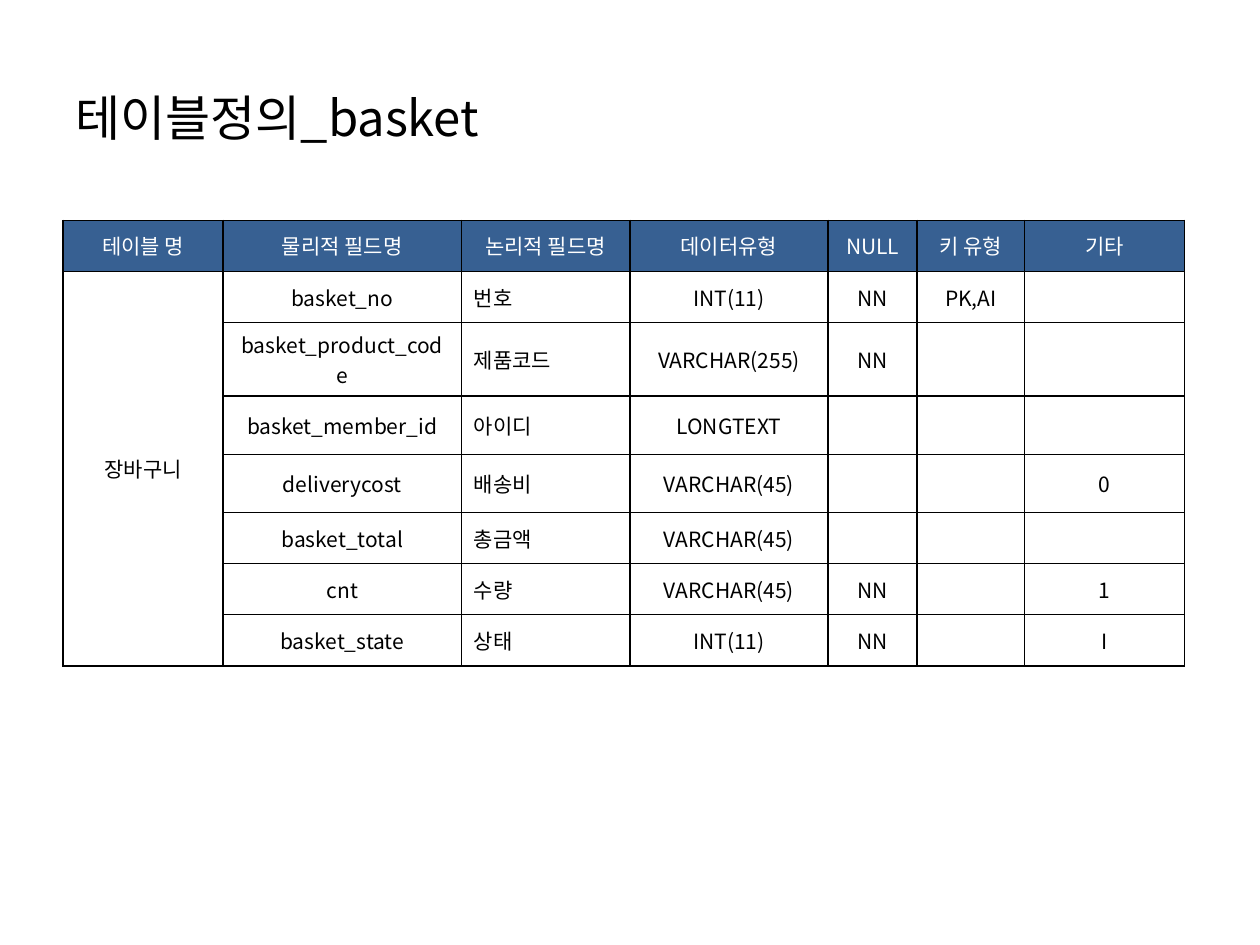
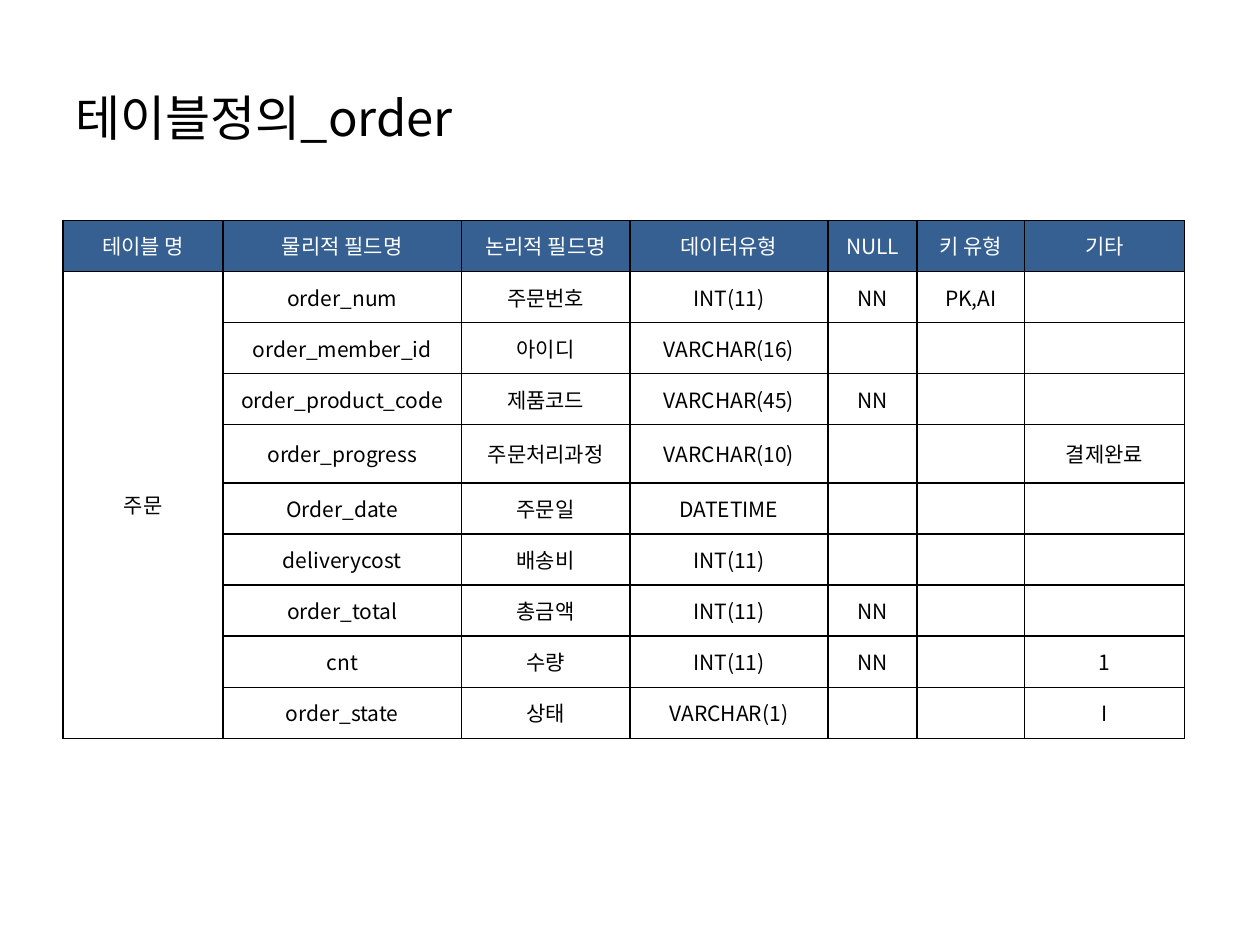
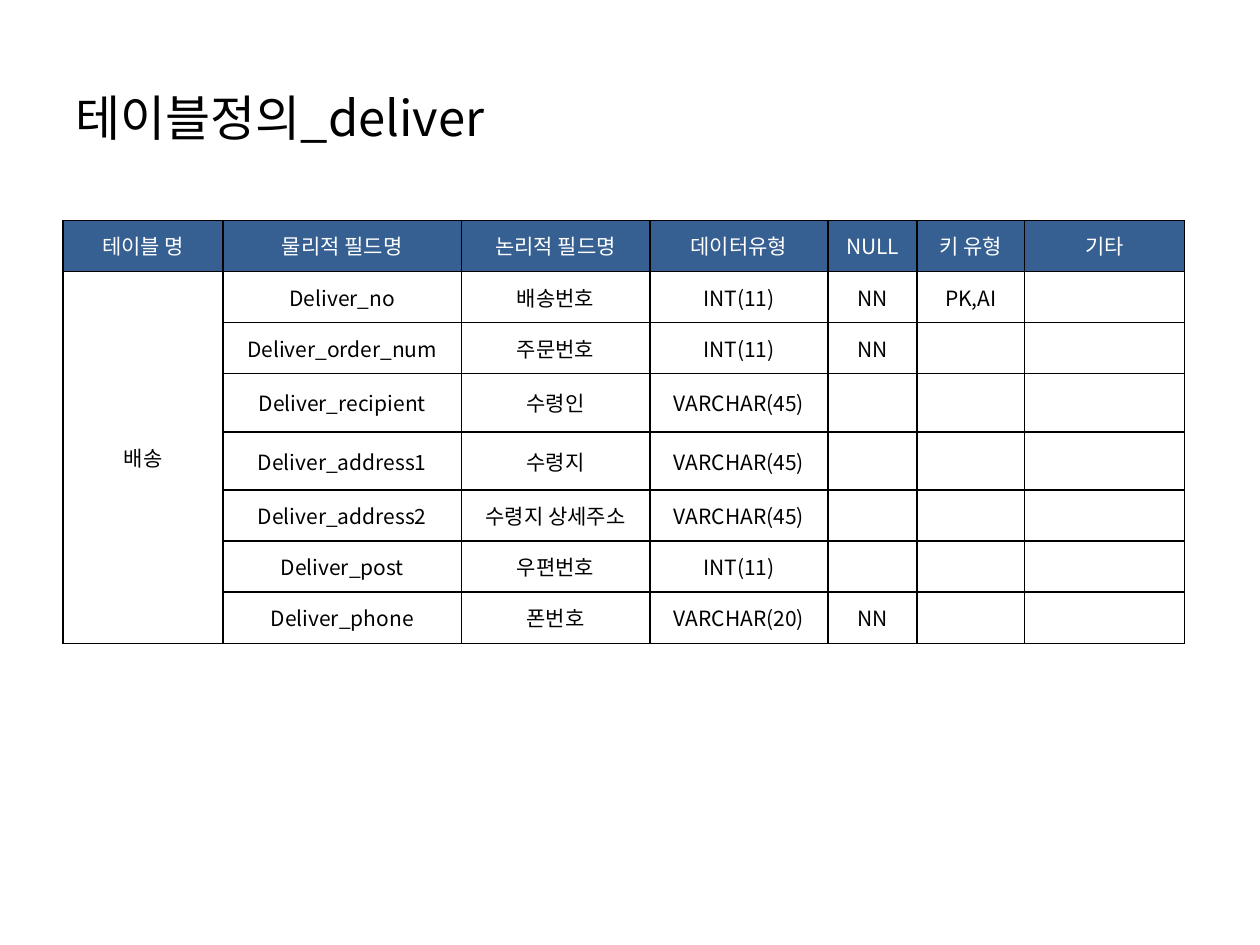
"""Build three slides that define the basket, order and deliver tables."""
from lxml import etree
from pptx import Presentation
from pptx.dml.color import RGBColor
from pptx.enum.text import MSO_ANCHOR, PP_ALIGN
from pptx.oxml.ns import qn
from pptx.util import Cm, Pt

LEFT, CENTER = PP_ALIGN.LEFT, PP_ALIGN.CENTER
MIDDLE = MSO_ANCHOR.MIDDLE

FONT = "Noto Sans CJK KR"
BLACK, WHITE, BLUE = "000000", "FFFFFF", "376092"
TITLE_FMT = {"size": Pt(28), "name": FONT, "color": BLACK}
HEAD_FMT = {"size": Pt(12), "name": FONT, "color": WHITE}
BODY_FMT = {**HEAD_FMT, "color": BLACK}
EMPTY_SIZE, TALL_EMPTY_SIZE = 12, 18

TITLE_BOX = {"left": Cm(1.27), "top": Cm(0.76), "width": Cm(22.86), "height": Cm(3.18)}
TABLE_LEFT, TABLE_TOP, ROW_HEIGHT = 1.27, 4.44, 1.03
COLS = [3.23, 4.8, 3.4, 3.99, 1.8, 2.16, 3.23]
DELIVER_COLS = [3.23, 4.8, 3.8, 3.59, 1.8, 2.16, 3.23]
HEADERS = ["테이블 명", "물리적 필드명", "논리적 필드명", "데이터유형", "NULL", "키 유형", "기타"]
LOGICAL_COL = 2

TABLES = [
    {
        "title": "테이블정의_basket", "name": "장바구니", "cols": COLS,
        "logical_align": LEFT, "tall_rows": (3, 4),
        "fields": [
            ("basket_no", "번호", "INT(11)", "NN", "PK,AI", ""),
            ("basket_product_code", "제품코드", "VARCHAR(255)", "NN", "", ""),
            ("basket_member_id", "아이디", "LONGTEXT", "", "", ""),
            ("deliverycost", "배송비", "VARCHAR(45)", "", "", "0"),
            ("basket_total", "총금액", "VARCHAR(45)", "", "", ""),
            ("cnt", "수량", "VARCHAR(45)", "NN", "", "1"),
            ("basket_state", "상태", "INT(11)", "NN", "", "I"),
        ],
    },
    {
        "title": "테이블정의_order", "name": "주문", "cols": COLS,
        "logical_align": CENTER, "tall_rows": (4,),
        "fields": [
            ("order_num", "주문번호", "INT(11)", "NN", "PK,AI", ""),
            ("order_member_id", "아이디", "VARCHAR(16)", "", "", ""),
            ("order_product_code", "제품코드", "VARCHAR(45)", "NN", "", ""),
            ("order_progress", "주문처리과정", "VARCHAR(10)", "", "", "결제완료"),
            ("Order_date", "주문일", "DATETIME", "", "", ""),
            ("deliverycost", "배송비", "INT(11)", "", "", ""),
            ("order_total", "총금액", "INT(11)", "NN", "", ""),
            ("cnt", "수량", "INT(11)", "NN", "", "1"),
            ("order_state", "상태", "VARCHAR(1)", "", "", "I"),
        ],
    },
    {
        "title": "테이블정의_deliver", "name": "배송", "cols": DELIVER_COLS,
        "logical_align": CENTER, "tall_rows": (3, 4),
        "fields": [
            ("Deliver_no", "배송번호", "INT(11)", "NN", "PK,AI", ""),
            ("Deliver_order_num", "주문번호", "INT(11)", "NN", "", ""),
            ("Deliver_recipient", "수령인", "VARCHAR(45)", "", "", ""),
            ("Deliver_address1", "수령지", "VARCHAR(45)", "", "", ""),
            ("Deliver_address2", "수령지 상세주소", "VARCHAR(45)", "", "", ""),
            ("Deliver_post", "우편번호", "INT(11)", "", "", ""),
            ("Deliver_phone", "폰번호", "VARCHAR(20)", "NN", "", ""),
        ],
    },
]


def rgb(value):
    """Return the colour of a hex string."""
    return RGBColor.from_string(value)


def add_run(p, text, fmt):
    """Add a formatted run to a paragraph."""
    r = p.add_run()
    r.text = text
    for key, value in fmt.items():
        if key == "color":
            r.font.color.rgb = rgb(value)
        else:
            setattr(r.font, key, value)
    etree.SubElement(r._r.get_or_add_rPr(), qn("a:ea"), typeface=FONT)


def size_empty(p, size):
    """Set the font and size of a paragraph without text."""
    end = etree.SubElement(p._p, qn("a:endParaRPr"), sz=str(size * 100))
    for tag in ("a:latin", "a:ea"):
        etree.SubElement(end, qn(tag), typeface=FONT)


def set_borders(cell, color, width):
    """Draw a solid line on the four sides of a cell."""
    tcPr = cell._tc.get_or_add_tcPr()
    for side in ("a:lnL", "a:lnR", "a:lnT", "a:lnB"):
        ln = etree.SubElement(tcPr, qn(side), w=str(Pt(width)))
        fill = etree.SubElement(ln, qn("a:solidFill"))
        etree.SubElement(fill, qn("a:srgbClr"), val=color)


def fill_cell(cell, text, fmt, align, empty_size, fill=None):
    """Write and format one table cell."""
    set_borders(cell, BLACK, 1)
    if fill:
        cell.fill.solid()
        cell.fill.fore_color.rgb = rgb(fill)
    else:
        cell.fill.background()
    cell.vertical_anchor = MIDDLE
    p = cell.text_frame.paragraphs[0]
    p.alignment = align
    if text:
        add_run(p, text, fmt)
    else:
        size_empty(p, empty_size)


def add_title(slide, text):
    """Place the slide title in its placeholder."""
    sp = slide.shapes.title
    for key, value in TITLE_BOX.items():
        setattr(sp, key, value)
    tf = sp.text_frame
    tf.vertical_anchor = MIDDLE
    p = tf.paragraphs[0]
    p.alignment = LEFT
    add_run(p, text, TITLE_FMT)


def add_field_table(slide, data):
    """Add the table that lists the fields of one database table."""
    names = [data["name"]] + [""] * (len(data["fields"]) - 1)
    rows = [HEADERS] + [(name, *field) for name, field in zip(names, data["fields"])]
    table = slide.shapes.add_table(
        len(rows), len(HEADERS), Cm(TABLE_LEFT), Cm(TABLE_TOP),
        Cm(sum(data["cols"])), Cm(ROW_HEIGHT * len(rows))).table
    table.first_row = table.horz_banding = False
    for column, width in zip(table.columns, data["cols"]):
        column.width = Cm(width)
    for i, row in enumerate(rows):
        table.rows[i].height = Cm(ROW_HEIGHT)
        empty_size = TALL_EMPTY_SIZE if i in data["tall_rows"] else EMPTY_SIZE
        for j, text in enumerate(row):
            cell = table.cell(i, j)
            if i == 0:
                fill_cell(cell, text, HEAD_FMT, CENTER, empty_size, BLUE)
            else:
                align = data["logical_align"] if j == LOGICAL_COL else CENTER
                fill_cell(cell, text, BODY_FMT, align, empty_size)
    table.cell(1, 0).merge(table.cell(len(rows) - 1, 0))


def main():
    """Build and save the presentation."""
    prs = Presentation()
    prs.slide_width, prs.slide_height = Cm(25.4), Cm(19.05)
    for data in TABLES:
        slide = prs.slides.add_slide(prs.slide_layouts[5])
        add_title(slide, data["title"])
        add_field_table(slide, data)
    prs.save("out.pptx")


if __name__ == "__main__":
    main()
